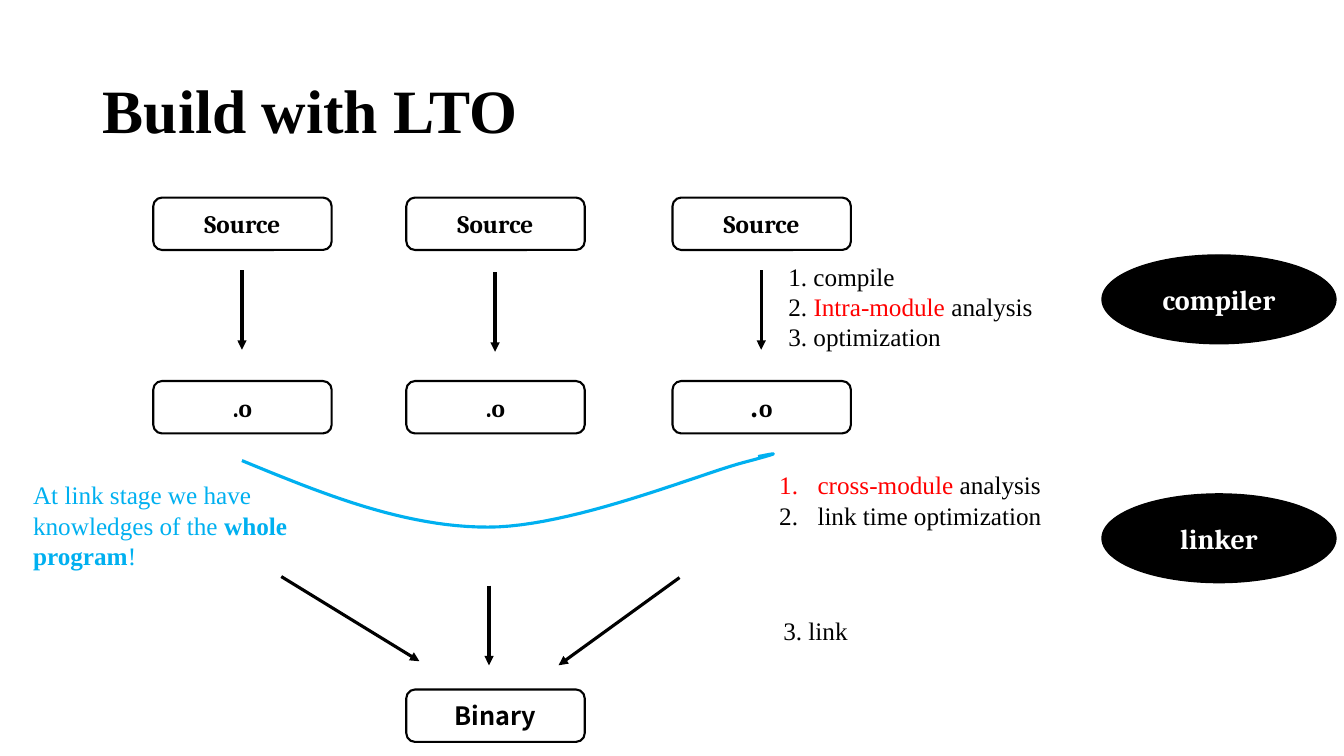
from lxml.etree import SubElement
from pptx import Presentation
from pptx.dml.color import RGBColor as RGB
from pptx.enum.shapes import MSO_CONNECTOR as CONN, MSO_SHAPE as SHAPE
from pptx.enum.text import MSO_ANCHOR as ANCHOR, MSO_AUTO_SIZE as AUTO, PP_ALIGN as ALIGN
from pptx.oxml.ns import qn
from pptx.util import Inches, Pt

COLORS = {"black": "000000", "white": "FFFFFF", "red": "FF0000", "blue": "00B0F0"}
SERIF, LABEL, SANS = "Times New Roman", "Cambria", "Noto Sans CJK SC"


def color(name):
    return RGB.from_string(COLORS[name])


class Deck:
    """Holds the presentation, its style and the current slide."""

    def __init__(self, width, height):
        self.prs = Presentation()
        self.prs.slide_width, self.prs.slide_height = Inches(width), Inches(height)
        self.s = self.prs.slides.add_slide(self.prs.slide_layouts[5])
        self.style = {"name": SERIF, "size": 18, "bold": False, "color": "black"}

    def add_runs(self, p, runs):
        """Fill a paragraph with (text, changes to the style) pairs."""
        for text, changes in runs:
            r = p.add_run()
            r.text = text
            fmt = {**self.style, **changes}
            r.font.color.rgb = color(fmt.pop("color"))
            fmt["size"] = Pt(fmt["size"])
            for key, value in fmt.items():
                setattr(r.font, key, value)

    def title(self, text, *box):
        sp = self.s.shapes.title
        sp.left, sp.top, sp.width, sp.height = map(Inches, box)
        sp.text_frame.vertical_anchor = ANCHOR.MIDDLE
        p = sp.text_frame.paragraphs[0]
        p.alignment, p.line_spacing = ALIGN.LEFT, 0.9
        self.add_runs(p, [(text, {"size": 44, "bold": True})])

    def node(self, kind, runs, box, fill="white", line=1.5, **changes):
        sp = self.s.shapes.add_shape(kind, *map(Inches, box))
        sp.shadow.inherit = False
        sp.fill.solid()
        sp.fill.fore_color.rgb = color(fill)
        sp.line.color.rgb, sp.line.width = color("black"), Pt(line)
        sp.text_frame.vertical_anchor = ANCHOR.MIDDLE
        p = sp.text_frame.paragraphs[0]
        p.alignment = ALIGN.CENTER
        base = {"name": LABEL, "bold": True, **changes}
        self.add_runs(p, [(text, {**base, **own}) for text, own in runs])

    def text(self, paragraphs, *box, numbered=False):
        tf = self.s.shapes.add_textbox(*map(Inches, box)).text_frame
        tf.word_wrap, tf.auto_size = True, AUTO.SHAPE_TO_FIT_TEXT
        for i, runs in enumerate(paragraphs):
            p = tf.add_paragraph() if i else tf.paragraphs[0]
            self.add_runs(p, runs)
            if numbered:
                pPr = p._p.get_or_add_pPr()
                pPr.set("marL", str(Inches(0.38)))
                pPr.set("indent", str(-Inches(0.38)))
                SubElement(pPr, qn("a:buFont"), typeface="+mj-lt")
                SubElement(pPr, qn("a:buAutoNum"), type="arabicPeriod")

    def arrow(self, *ends):
        sp = self.s.shapes.add_connector(CONN.STRAIGHT, *map(Inches, ends))
        sp.line.color.rgb, sp.line.width = color("black"), Pt(2.25)
        SubElement(sp.line._get_or_add_ln(), qn("a:tailEnd"), type="triangle")
        SubElement(sp._element.spPr, qn("a:effectLst"))

    def curve(self, start, beziers, steps=24):
        """Draw joined cubic Beziers as a fine open polyline."""
        points, a = [], start
        for b, c, d in beziers:
            for t in (i / steps for i in range(1, steps + 1)):
                u = 1 - t
                weights = (u**3, 3 * u * u * t, 3 * u * t * t, t**3)
                points.append(tuple(
                    Inches(sum(w * v for w, v in zip(weights, axis)))
                    for axis in zip(a, b, c, d)))
            a = d
        builder = self.s.shapes.build_freeform(*map(Inches, start))
        builder.add_line_segments(points, close=False)
        sp = builder.convert_to_shape()
        sp.shadow.inherit = False
        sp.fill.background()
        sp.line.color.rgb, sp.line.width = color("blue"), Pt(2.25)


def main():
    deck = Deck(13.33, 7.5)
    deck.title("Build with LTO", 0.92, 0.4, 11.5, 1.45)

    # Source and object files, one column per module
    columns, size = (1.52, 4.03, 6.67), (1.77, 0.52)
    dot_fonts = (LABEL, LABEL, SANS)
    for x, arrow_top, dot_font in zip(columns, (2.68, 2.7, 2.68), dot_fonts):
        deck.node(SHAPE.ROUNDED_RECTANGLE, [("Source", {})], (x, 1.96, *size))
        objects = [(".o", {})] if dot_font == LABEL else [(".", {"name": dot_font}), ("o", {})]
        deck.node(SHAPE.ROUNDED_RECTANGLE, objects, (x, 3.78, *size))
        deck.arrow(x + 0.88, arrow_top, x + 0.88, arrow_top + 0.79)

    # Linking into the binary
    deck.node(SHAPE.ROUNDED_RECTANGLE, [("Binary", {"name": SANS})], (columns[1], 6.84, *size))
    for ends in ((6.74, 5.73, 5.54, 6.6), (2.79, 5.72, 4.16, 6.56), (4.85, 5.81, 4.85, 6.6)):
        deck.arrow(*ends)

    # Tools
    for tool, y in (("compiler", 2.53), ("linker", 4.9)):
        deck.node(SHAPE.OVAL, [(tool, {})], (10.93, y, 2.32, 0.88),
                  fill="black", line=1, size=20, color="white")

    # Whole-program curve
    deck.curve((2.4, 4.57), [
        ((3.2, 4.9), (4.01, 5.23), (4.84, 5.23)),
        ((5.66, 5.23), (6.92, 4.71), (7.37, 4.59)),
        ((7.82, 4.47), (7.67, 4.5), (7.52, 4.53)),
    ])

    # Step notes
    red, blue = {"color": "red"}, {"color": "blue"}
    deck.text([
        [("1. compile", {})],
        [("2. ", {}), ("Intra-module", red), (" analysis", {})],
        [("3. optimization", {})],
    ], 7.72, 2.54, 3.55, 1.01)
    deck.text([
        [("cross-module", red), (" analysis", {})],
        [("link time optimization", {})],
    ], 7.63, 4.61, 3.71, 0.71, numbered=True)
    deck.text([[("3. link", {})]], 7.67, 6.06, 3.22, 0.4)
    deck.text([[
        ("At link stage we have knowledges of the ", blue),
        ("whole program", {**blue, "bold": True}),
        ("!", blue),
    ]], 0.23, 4.71, 2.87, 1.01)

    deck.prs.save("out.pptx")


if __name__ == "__main__":
    main()
